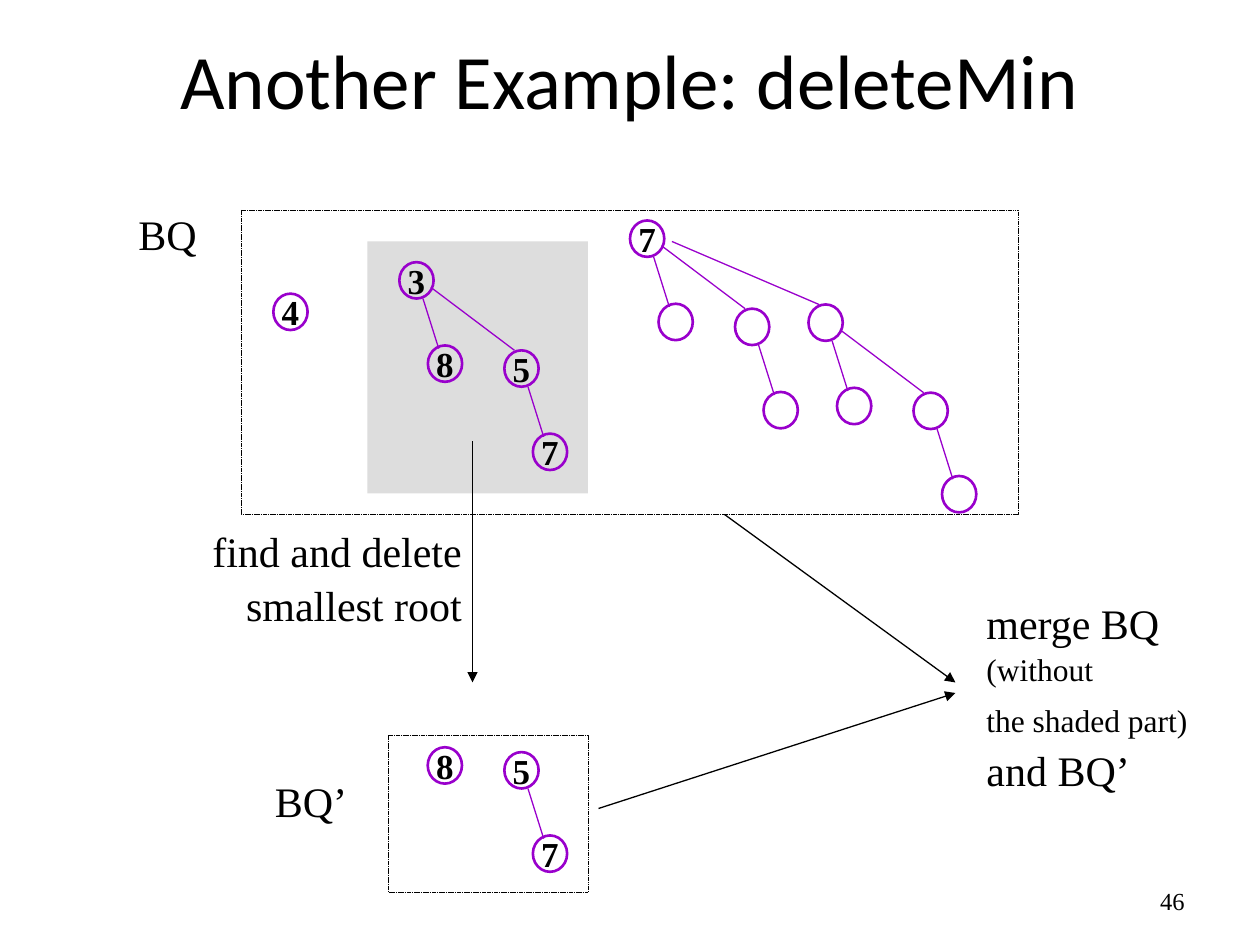
"""Build a slide showing deleteMin on a binomial queue."""
from lxml import etree
from pptx import Presentation
from pptx.dml.color import RGBColor
from pptx.enum.dml import MSO_LINE
from pptx.enum.shapes import MSO_CONNECTOR, MSO_SHAPE
from pptx.enum.text import MSO_ANCHOR, MSO_AUTO_SIZE, PP_ALIGN
from pptx.oxml.ns import qn
from pptx.util import Pt

BLACK = RGBColor(0x00, 0x00, 0x00)
PURPLE = RGBColor(0x99, 0x00, 0xCC)
GRAY = RGBColor(0xDD, 0xDD, 0xDD)
SERIF = "Times New Roman"

TITLE = "Another Example: deleteMin"
SHADED = (210, 138, 126, 144)
QUEUES = [(138, 120, 444, 174), (222, 420, 114, 90)]
LABELS = [
    ((72, 114, 47.5, 36), [("BQ", 24)], PP_ALIGN.LEFT, False),
    ((114, 295.2, 157, 65), [("find and delete\vsmallest root", 24)], PP_ALIGN.RIGHT, False),
    ((556.6, 336.2, 163.4, 115.2),
     [("merge BQ ", 24), ("(without\vthe shaded part)", 18), (" and BQ’", 24)],
     PP_ALIGN.LEFT, True),
    ((150, 438, 56.2, 36), [("BQ’", 24)], PP_ALIGN.LEFT, False),
]
PAGE = ((516, 500.4, 168, 28.8), "46")
ARROWS = [(270, 252, 270, 390), (342, 462, 546, 396), (414, 294, 546, 390)]

B0 = ("", [])
B1 = ("", [B0])
B2 = ("", [B0, B1])
FIVE = ("5", [("7", [])])
TREES = [
    (156.2, 167.8, ("4", [])),
    (228.2, 149.8, ("3", [("8", []), FIVE])),
    (360, 126, ("7", [B0, B1, B2])),
    (244.4, 427, ("8", [])),
    (288.2, 429.8, FIVE),
]
NODE_W, NODE_H = 19.6, 20.8
CHILD_STEPS = [(16.3, 47.6), (60, 50.4), (102, 48)]
EDGES = [(13.5, 20.8, 22.5, 49.4), (18, 14.4, 65.8, 50.4), (24, 12, 108, 48)]


def add_line(s, ends, color, arrow=False):
    c = s.shapes.add_connector(MSO_CONNECTOR.STRAIGHT, *map(Pt, ends))
    c.line.color.rgb = color
    c.line.width = Pt(0.75)
    if arrow:
        etree.SubElement(c.line._get_or_add_ln(), qn("a:tailEnd"), type="triangle")
    etree.SubElement(c._element.spPr, qn("a:effectLst"))


def add_outline(s, kind, box, color, width):
    sp = s.shapes.add_shape(kind, *map(Pt, box))
    sp.shadow.inherit = False
    sp.fill.background()
    sp.line.color.rgb = color
    sp.line.width = Pt(width)
    return sp


def style(p, size, align):
    p.alignment = align
    p.font.name = SERIF
    p.font.size = Pt(size)
    p.font.color.rgb = BLACK


def add_tree(s, x, y, tree):
    key, children = tree
    sp = add_outline(s, MSO_SHAPE.OVAL, (x, y, NODE_W, NODE_H), PURPLE, 1.5)
    if key:
        tf = sp.text_frame
        tf.word_wrap = False
        tf.vertical_anchor = MSO_ANCHOR.MIDDLE
        p = tf.paragraphs[0]
        p.text = key
        style(p, 20, PP_ALIGN.CENTER)
        p.font.bold = True
    for child, (dx, dy), (x1, y1, x2, y2) in zip(children, CHILD_STEPS, EDGES):
        add_line(s, (x + x1, y + y1, x + x2, y + y2), PURPLE)
        add_tree(s, x + dx, y + dy, child)


def add_label(s, box, runs, align, wrap):
    tf = s.shapes.add_textbox(*map(Pt, box)).text_frame
    tf.word_wrap = wrap
    tf.auto_size = MSO_AUTO_SIZE.SHAPE_TO_FIT_TEXT
    p = tf.paragraphs[0]
    style(p, runs[0][1], align)
    p.line_spacing = 1.06
    for text, size in runs:
        for i, line in enumerate(text.split("\v")):
            if i:
                p.add_line_break()
            r = p.add_run()
            r.text = line
            r.font.size = Pt(size)


def main():
    prs = Presentation()
    prs.slide_width, prs.slide_height = Pt(720), Pt(540)
    s = prs.slides.add_slide(prs.slide_layouts[5])

    title = s.shapes.title
    title.left, title.top, title.width, title.height = map(Pt, (54, 0, 612, 90))
    title.text_frame.vertical_anchor = MSO_ANCHOR.MIDDLE
    p = title.text_frame.paragraphs[0]
    p.text = TITLE
    style(p, 44, PP_ALIGN.CENTER)
    p.font.name = "Calibri"

    shaded = s.shapes.add_shape(MSO_SHAPE.RECTANGLE, *map(Pt, SHADED))
    shaded.shadow.inherit = False
    shaded.fill.solid()
    shaded.fill.fore_color.rgb = GRAY
    shaded.line.fill.background()

    for box in QUEUES:
        sp = add_outline(s, MSO_SHAPE.RECTANGLE, box, BLACK, 0.25)
        sp.line.dash_style = MSO_LINE.SQUARE_DOT
    for x, y, tree in TREES:
        add_tree(s, x, y, tree)
    for ends in ARROWS:
        add_line(s, ends, BLACK, arrow=True)
    for label in LABELS:
        add_label(s, *label)

    box, number = PAGE
    tf = s.shapes.add_textbox(*map(Pt, box)).text_frame
    tf.word_wrap = True
    tf.vertical_anchor = MSO_ANCHOR.MIDDLE
    p = tf.paragraphs[0]
    p.text = number
    style(p, 14, PP_ALIGN.RIGHT)

    prs.save("out.pptx")


if __name__ == "__main__":
    main()
